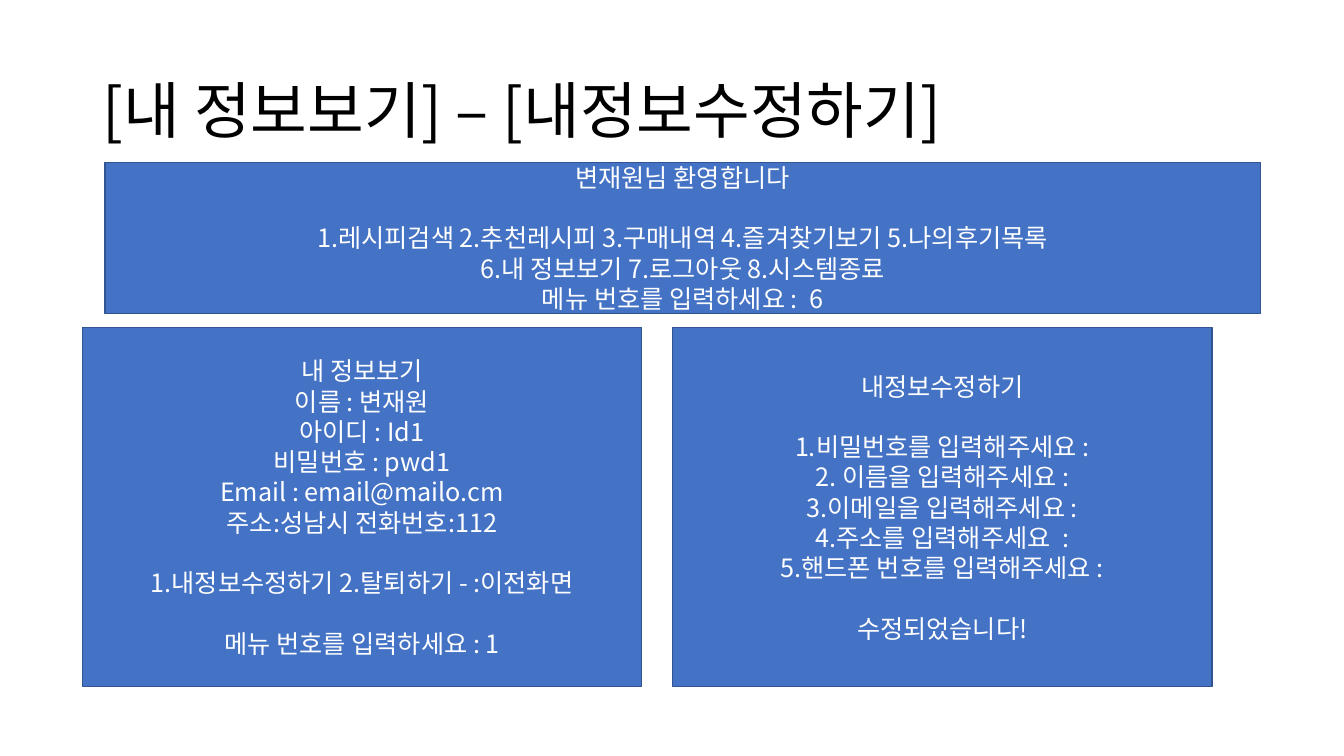
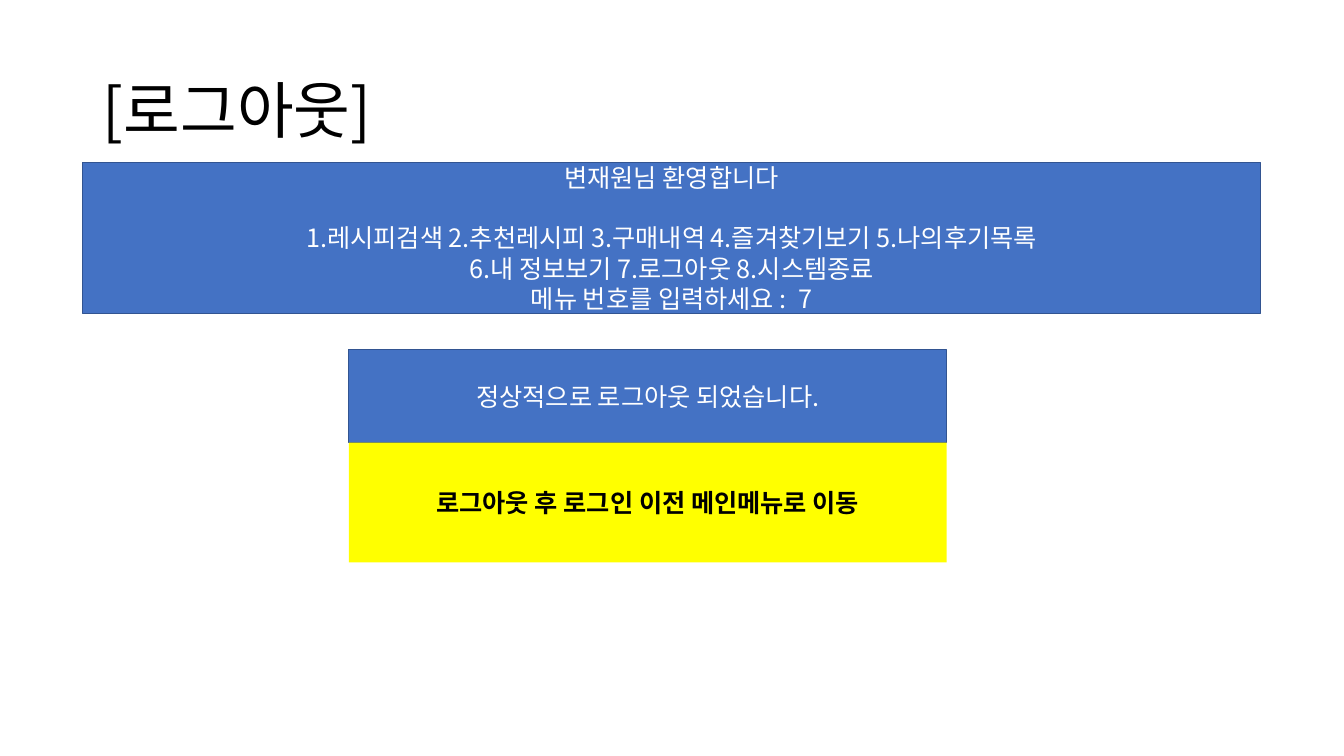
from dataclasses import dataclass

from lxml import etree
from pptx import Presentation
from pptx.dml.color import RGBColor
from pptx.enum.shapes import MSO_SHAPE
from pptx.enum.text import MSO_ANCHOR, MSO_AUTO_SIZE, PP_ALIGN
from pptx.oxml.ns import qn
from pptx.util import Inches, Pt

RECT = MSO_SHAPE.RECTANGLE
MIDDLE = MSO_ANCHOR.MIDDLE
LEFT, CENTER = PP_ALIGN.LEFT, PP_ALIGN.CENTER
NO_FIT = MSO_AUTO_SIZE.NONE
TITLE_ONLY = 5


@dataclass(frozen=True)
class Theme:
    font: str = "Noto Sans CJK KR"
    blue: str = "4472C4"
    edge: str = "325491"
    yellow: str = "FFFF00"
    white: str = "FFFFFF"
    black: str = "000000"
    head: float = 44
    body: float = 18
    gap: float = 21.6
    rule: float = 1
    stroke: float = 0.75


THEME = Theme()

# Each inner list is a group of lines; groups are set apart by a gap
MENU = [
    ["변재원님 환영합니다"],
    ["1.레시피검색 2.추천레시피 3.구매내역 4.즐겨찾기보기 5.나의후기목록",
     "6.내 정보보기 7.로그아웃 8.시스템종료"],
]
INFO = [
    ["내 정보보기", "이름 : 변재원", "아이디 : Id1", "비밀번호 : pwd1",
     "Email : email@mailo.cm", "주소:성남시 전화번호:112"],
    ["1.내정보수정하기 2.탈퇴하기 - :이전화면"],
    ["메뉴 번호를 입력하세요 : 1"],
]
EDIT = [
    ["내정보수정하기"],
    ["1.비밀번호를 입력해주세요 :", "2. 이름을 입력해주세요 :",
     "3.이메일을 입력해주세요 :", "4.주소를 입력해주세요  :",
     "5.핸드폰 번호를 입력해주세요 :"],
    ["수정되었습니다!"],
]


def style(item, values):
    for name, value in values.items():
        setattr(item, name, value)


def place(shape, box):
    names = ("left", "top", "width", "height")
    style(shape, dict(zip(names, map(Inches, box))))


def write(para, text, size, color, bold=False):
    run = para.add_run()
    run.text = text
    style(run.font, {"name": THEME.font, "size": Pt(size), "bold": bold})
    run.font.color.rgb = RGBColor.from_string(color)
    etree.SubElement(run.font._element, qn("a:ea"), typeface=THEME.font)
    return run


def outline(run, color):
    line = etree.Element(qn("a:ln"), w=str(Pt(THEME.stroke)))
    fill = etree.SubElement(line, qn("a:solidFill"))
    etree.SubElement(fill, qn("a:srgbClr"), val=color)
    run.font._element.insert(0, line)


def add_page(deck, text):
    page = deck.slides.add_slide(deck.slide_layouts[TITLE_ONLY])
    title = page.shapes.title
    place(title, (0.92, 0.4, 11.5, 1.45))
    frame = title.text_frame
    style(frame, {"vertical_anchor": MIDDLE, "auto_size": NO_FIT,
                  "word_wrap": True})
    para = frame.paragraphs[0]
    style(para, {"alignment": LEFT, "line_spacing": 0.9})
    write(para, text, THEME.head, THEME.black)
    return page


def add_box(page, box, fill=THEME.blue):
    shape = page.shapes.add_shape(RECT, *map(Inches, box))
    shape.shadow.inherit = False
    shape.fill.solid()
    shape.fill.fore_color.rgb = RGBColor.from_string(fill)
    style(shape.text_frame, {"vertical_anchor": MIDDLE, "word_wrap": True})
    return shape


def add_panel(page, box, groups):
    shape = add_box(page, box)
    shape.line.color.rgb = RGBColor.from_string(THEME.edge)
    shape.line.width = Pt(THEME.rule)
    frame = shape.text_frame
    para = frame.paragraphs[0]
    for part, group in enumerate(groups):
        for row, text in enumerate(group):
            if part or row:
                para = frame.add_paragraph()
            gap = THEME.gap if part and not row else 0
            style(para, {"alignment": CENTER, "space_before": Pt(gap)})
            write(para, text, THEME.body, THEME.white)


def add_menu(page, left, choice):
    right = 12.5
    prompt = f"메뉴 번호를 입력하세요 :  {choice}"
    add_panel(page, (left, 1.61, right - left, 1.5),
              [MENU[0], MENU[1] + [prompt]])


def add_note(page, box, text):
    shape = add_box(page, box, THEME.yellow)
    shape.line.fill.background()
    para = shape.text_frame.paragraphs[0]
    para.alignment = CENTER
    outline(write(para, text, THEME.body, THEME.black, True), THEME.black)


def main():
    deck = Presentation()
    style(deck, {"slide_width": Inches(13.33), "slide_height": Inches(7.5)})

    # View and edit the profile
    page = add_page(deck, "[내 정보보기] – [내정보수정하기]")
    add_panel(page, (0.82, 3.25, 5.54, 3.56), INFO)
    add_panel(page, (6.67, 3.25, 5.35, 3.56), EDIT)
    add_menu(page, 1.04, 6)

    # Log out
    page = add_page(deck, "[로그아웃]")
    add_panel(page, (3.46, 3.47, 5.93, 0.92),
              [["정상적으로 로그아웃 되었습니다."]])
    add_note(page, (3.46, 4.39, 5.93, 1.19),
             "로그아웃 후 로그인 이전 메인메뉴로 이동")
    add_menu(page, 0.82, 7)

    deck.save("out.pptx")


main()
